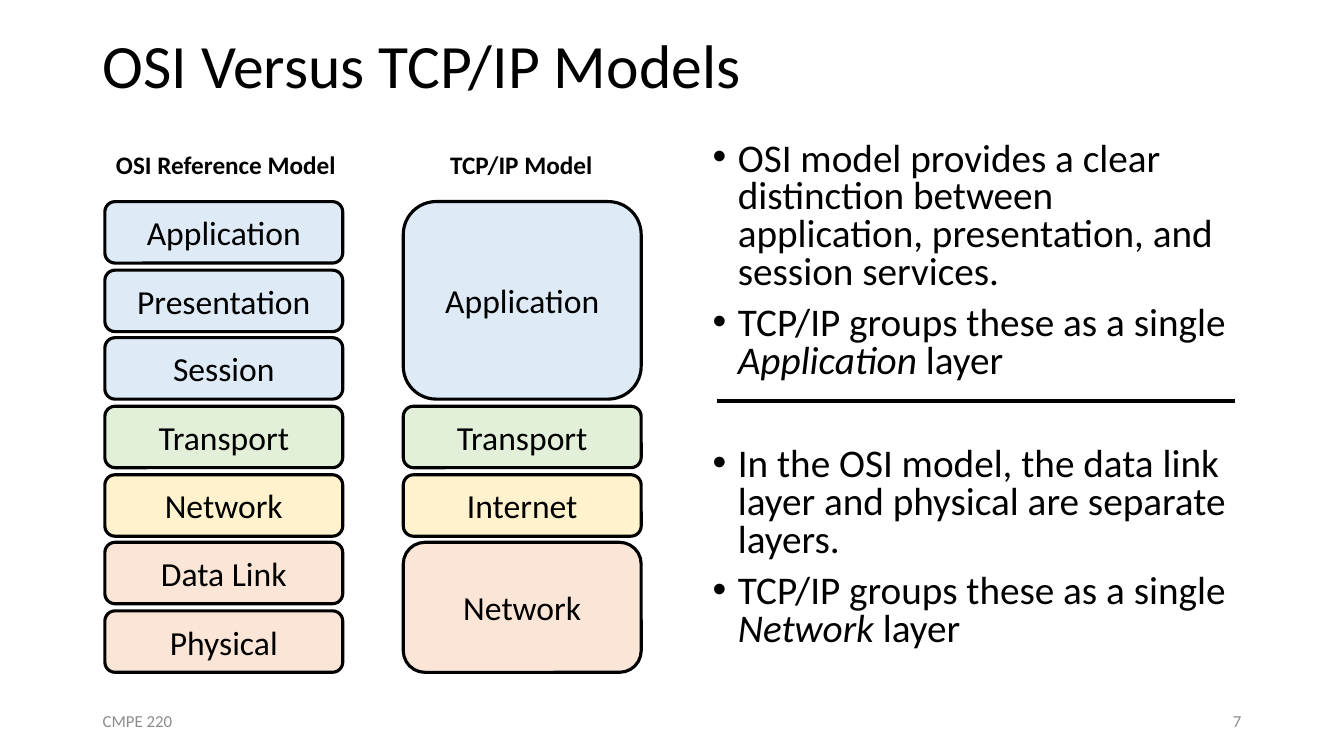
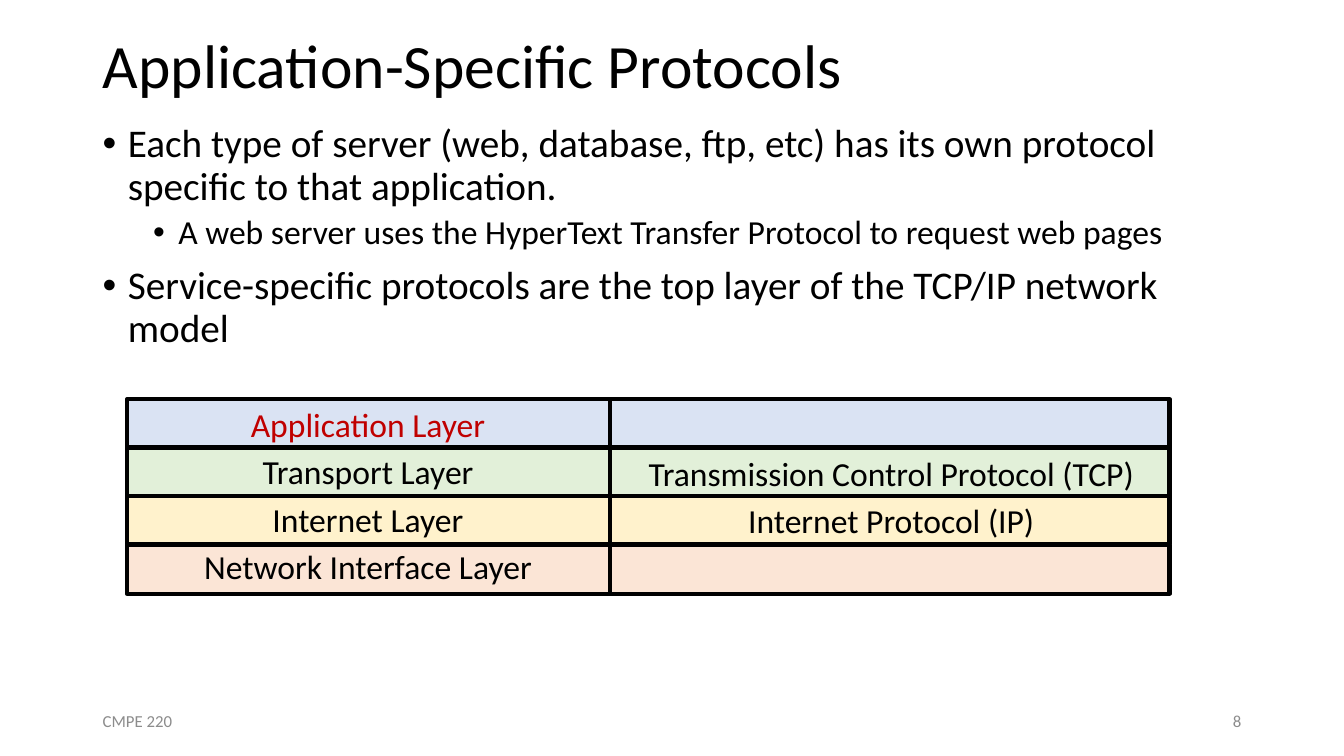
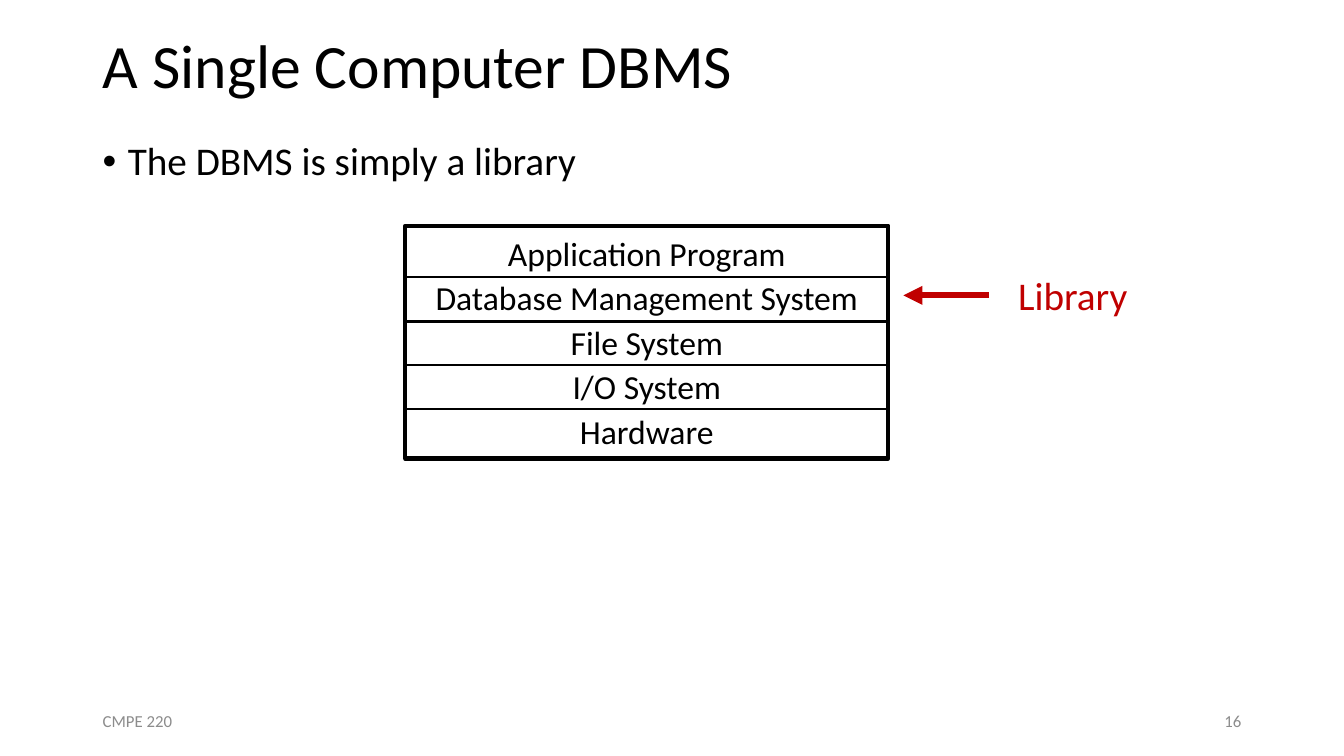
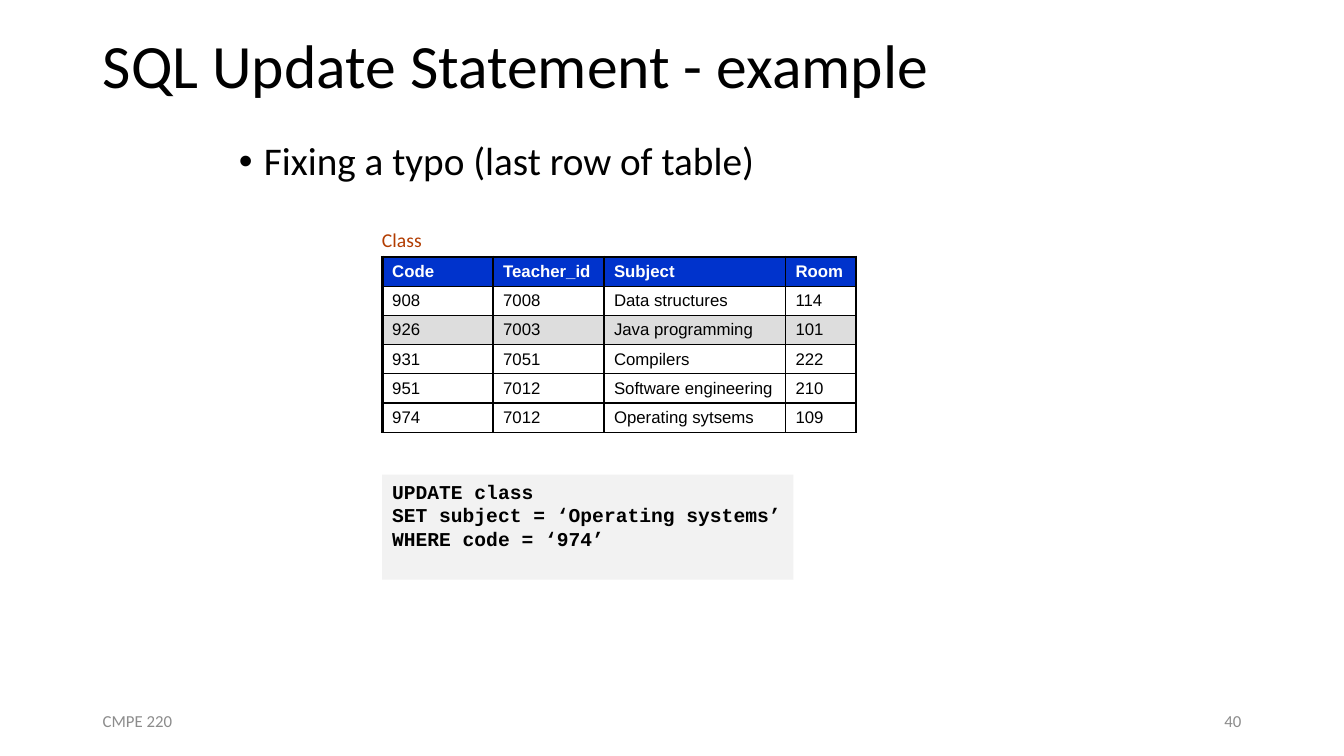
from dataclasses import dataclass
from typing import Optional, Sequence, Union

import lxml.etree
import pptx
import pptx.dml.color
import pptx.enum.shapes
import pptx.enum.text
import pptx.oxml.ns
import pptx.slide
import pptx.table
import pptx.text.text
import pptx.util

ALIGN = pptx.enum.text.PP_ALIGN
ANCHOR = pptx.enum.text.MSO_ANCHOR
SHAPE = pptx.enum.shapes.MSO_SHAPE
EMU_PER_PX = 9144  # 100 px to the inch


@dataclass(frozen=True)
class Theme:
    font: str = "Calibri"
    table_font: str = "Arial"
    code_font: str = "Courier New"
    black: str = "000000"
    white: str = "FFFFFF"
    footer: str = "8C8C8C"
    accent: str = "C00000"
    caption: str = "B23C00"
    blue: str = "DEEBF7"
    blue_row: str = "DAE3F3"
    green: str = "E2F0D9"
    yellow: str = "FFF2CC"
    orange: str = "FBE5D6"
    header: str = "0033CC"
    highlight: str = "DDDDDD"
    code_fill: str = "F2F2F2"
    title_size: int = 44
    body_size: int = 28
    label_size: int = 24
    heading_size: int = 18
    small_size: int = 14
    tiny_size: int = 12


THEME = Theme()


@dataclass(frozen=True)
class Box:
    left: int
    top: int
    width: int
    height: int

    def emu(self) -> tuple[pptx.util.Emu, ...]:
        return tuple(px(n) for n in (self.left, self.top, self.width, self.height))


@dataclass(frozen=True)
class Span:
    text: str
    italic: bool = False
    color: Optional[str] = None


@dataclass(frozen=True)
class Para:
    spans: tuple[Span, ...]


@dataclass(frozen=True)
class Bullet(Para):
    level: int = 0
    before: int = 10


@dataclass(frozen=True)
class Layer:
    text: str
    fill: str
    slots: int = 1


@dataclass(frozen=True)
class Row:
    cells: tuple[str, ...]
    fill: Optional[str] = None
    color: str = THEME.black
    bold: bool = False


@dataclass(frozen=True)
class Borders:
    """Line widths in points."""
    outer: float
    inner: float


def px(length: int) -> pptx.util.Emu:
    return pptx.util.Emu(length * EMU_PER_PX)


def rgb(color: str) -> pptx.dml.color.RGBColor:
    return pptx.dml.color.RGBColor.from_string(color)


def add_xml(parent: lxml.etree._Element, tag: str, **attributes: str) -> lxml.etree._Element:
    return lxml.etree.SubElement(parent, pptx.oxml.ns.qn(tag), attributes)


def write(
    frame: pptx.text.text.TextFrame,
    text: Union[str, Sequence[Para]],
    *,
    size: int = THEME.label_size,
    color: str = THEME.black,
    font: str = THEME.font,
    bold: bool = False,
    align: ALIGN = ALIGN.LEFT,
    anchor: ANCHOR = ANCHOR.TOP,
    spacing: float = 1.0,
    after: int = 0,
) -> None:
    """Fill a frame with lines of text, paragraphs or bullets."""
    frame.word_wrap = True
    frame.vertical_anchor = anchor
    if isinstance(text, str):
        text = [Para((Span(line),)) for line in text.split("\n")]
    for index, item in enumerate(text):
        para = frame.add_paragraph() if index else frame.paragraphs[0]
        para.alignment = align
        para.line_spacing = spacing
        para.space_after = pptx.util.Pt(after)
        span_size = size
        if isinstance(item, Bullet):
            para.level = item.level
            properties = para._p.get_or_add_pPr()
            properties.set("marL", str(px(25 + 50 * item.level)))
            properties.set("indent", str(-px(25)))
            add_xml(properties, "a:buFont", typeface="Arial")
            add_xml(properties, "a:buChar", char="•")
            if index:
                para.space_before = pptx.util.Pt(item.before)
            if item.level:
                span_size = THEME.label_size
        for span in item.spans:
            run = para.add_run()
            run.text = span.text
            run.font.name = font
            run.font.size = pptx.util.Pt(span_size)
            run.font.bold = bold
            run.font.italic = span.italic
            run.font.color.rgb = rgb(span.color or color)


def add_text(page: pptx.slide.Slide, box: Box, text: Union[str, Sequence[Para]], **style) -> None:
    write(page.shapes.add_textbox(*box.emu()).text_frame, text, **style)


def add_bullets(page: pptx.slide.Slide, box: Box, bullets: Sequence[Bullet],
                spacing: float = 0.9) -> None:
    add_text(page, box, bullets, size=THEME.body_size, spacing=spacing)


def add_panel(page: pptx.slide.Slide, kind: SHAPE, box: Box, text: str = "", *,
              fill: Optional[str] = None, line: float = 0, **style) -> None:
    """Draw a shape, with fill, outline and text only where they are given."""
    shape = page.shapes.add_shape(kind, *box.emu())
    shape.shadow.inherit = False
    if fill:
        shape.fill.solid()
        shape.fill.fore_color.rgb = rgb(fill)
    else:
        shape.fill.background()
    if line:
        shape.line.color.rgb = rgb(THEME.black)
        shape.line.width = pptx.util.Pt(line)
    else:
        shape.line.fill.background()
    if text:
        write(shape.text_frame, text, **style)


def add_line(page: pptx.slide.Slide, start: tuple[int, int], end: tuple[int, int], *,
             width: float, color: str = THEME.black, arrow: bool = False) -> None:
    line = page.shapes.add_connector(
        pptx.enum.shapes.MSO_CONNECTOR.STRAIGHT, *(px(n) for n in start + end))
    line.line.color.rgb = rgb(color)
    line.line.width = pptx.util.Pt(width)
    if arrow:
        add_xml(line.line._get_or_add_ln(), "a:tailEnd", type="triangle")
    add_xml(line._element.spPr, "a:effectLst")


def set_borders(cell: pptx.table._Cell, widths: Sequence[float]) -> None:
    """Set the left, right, top and bottom border of a cell."""
    properties = cell._tc.get_or_add_tcPr()
    for side, width in zip("LRTB", widths):
        line = add_xml(properties, f"a:ln{side}", w=str(pptx.util.Pt(width)))
        add_xml(add_xml(line, "a:solidFill"), "a:srgbClr", val=THEME.black)


def add_grid(page: pptx.slide.Slide, left: int, top: int, columns: Sequence[int],
             row_height: int, rows: Sequence[Row], borders: Borders, **style) -> None:
    """Add a table with heavy left, top and right edges."""
    box = Box(left, top, sum(columns), row_height * len(rows))
    table = page.shapes.add_table(len(rows), len(columns), *box.emu()).table
    table.first_row = table.horz_banding = False
    for column, width in zip(table.columns, columns):
        column.width = px(width)
    for r, row in enumerate(rows):
        table.rows[r].height = px(row_height)
        for c, text in enumerate(row.cells):
            cell = table.cell(r, c)
            set_borders(cell, (
                borders.inner if c else borders.outer,
                borders.inner if c < len(columns) - 1 else borders.outer,
                borders.inner if r else borders.outer,
                borders.inner,
            ))
            if row.fill:
                cell.fill.solid()
                cell.fill.fore_color.rgb = rgb(row.fill)
            else:
                cell.fill.background()
            cell.margin_top = cell.margin_bottom = px(4)
            write(cell.text_frame, text, color=row.color, bold=row.bold, **style)
            cell.vertical_anchor = ANCHOR.MIDDLE


def add_page(deck, title: str, number: int) -> pptx.slide.Slide:
    page = deck.slides.add_slide(deck.slide_layouts[5])
    heading = page.shapes.title
    heading.left, heading.top, heading.width, heading.height = Box(92, 0, 1150, 136).emu()
    write(heading.text_frame, title, size=THEME.title_size, anchor=ANCHOR.MIDDLE, spacing=0.9)
    for left, text, align in ((92, "CMPE 220", ALIGN.LEFT), (941, str(number), ALIGN.RIGHT)):
        add_text(page, Box(left, 695, 300, 40), text, size=THEME.tiny_size,
                 color=THEME.footer, align=align, anchor=ANCHOR.MIDDLE)
    return page


def add_layer_stack(page: pptx.slide.Slide, left: int, heading: str, heading_left: int,
                    layers: Sequence[Layer]) -> None:
    """Stack layers on seven equal slots under a heading."""
    top, bottom, width, height, slot_count = 200, 667, 236, 61, 7
    pitch = (bottom - top - height) / (slot_count - 1)
    add_text(page, Box(heading_left, 143, 248, 40), heading,
             size=THEME.heading_size, bold=True, align=ALIGN.CENTER)
    slot = 0
    for layer in layers:
        start = top + round(slot * pitch)
        slot += layer.slots
        end = top + round((slot - 1) * pitch) + height
        add_panel(page, SHAPE.ROUNDED_RECTANGLE, Box(left, start, width, end - start),
                  layer.text, fill=layer.fill, line=2.25,
                  align=ALIGN.CENTER, anchor=ANCHOR.MIDDLE)


def build_models(deck) -> None:
    page = add_page(deck, "OSI Versus TCP/IP Models", 7)
    add_layer_stack(page, 104, "OSI Reference Model", 100, (
        Layer("Application", THEME.blue),
        Layer("Presentation", THEME.blue),
        Layer("Session", THEME.blue),
        Layer("Transport", THEME.green),
        Layer("Network", THEME.yellow),
        Layer("Data Link", THEME.orange),
        Layer("Physical", THEME.orange),
    ))
    add_layer_stack(page, 400, "TCP/IP Model", 393, (
        Layer("Application", THEME.blue, slots=3),
        Layer("Transport", THEME.green),
        Layer("Internet", THEME.yellow),
        Layer("Network", THEME.orange, slots=2),
    ))

    def grouped_as(layer: str) -> Bullet:
        return Bullet((Span("TCP/IP groups these as a single "),
                       Span(layer, italic=True), Span(" layer")))

    add_bullets(page, Box(697, 136, 544, 528), (
        Bullet((Span("OSI model provides a clear distinction between application, "
                     "presentation, and session services."),)),
        grouped_as("Application"),
        Bullet((Span("In the OSI model, the data link layer and physical are separate "
                     "layers."),), before=47),
        grouped_as("Network"),
    ), spacing=0.8)
    add_line(page, (711, 398), (1225, 398), width=3)


def build_protocols(deck) -> None:
    page = add_page(deck, "Application-Specific Protocols", 8)
    add_bullets(page, Box(92, 118, 1150, 247), (
        Bullet((Span("Each type of server (web, database, ftp, etc) has its own protocol "
                     "specific to that application."),)),
        Bullet((Span("A web server uses the HyperText Transfer Protocol to request web "
                     "pages"),), level=1, before=5),
        Bullet((Span("Service-specific protocols are the top layer of the TCP/IP network "
                     "model"),)),
    ))
    top, row_bottom = 396, 589
    fills = (THEME.blue_row, THEME.green, THEME.yellow, THEME.orange)
    pitch = (row_bottom - top) / len(fills)
    for index, fill in enumerate(fills):
        for left, width in ((126, 479), (605, 555)):
            add_panel(page, SHAPE.RECTANGLE,
                      Box(left, top + round(index * pitch), width, round(pitch)),
                      fill=fill, line=3)
    add_text(page, Box(191, top, 348, 193), (
        Para((Span("Application Layer", color=THEME.accent),)),
        Para((Span("Transport Layer"),)),
        Para((Span("Internet Layer"),)),
        Para((Span("Network Interface Layer"),)),
    ), align=ALIGN.CENTER, after=5)
    add_text(page, Box(591, 444, 586, 97),
             "Transmission Control Protocol (TCP)\nInternet Protocol (IP)",
             align=ALIGN.CENTER, after=5)


def build_single_computer(deck) -> None:
    page = add_page(deck, "A Single Computer DBMS", 16)
    add_bullets(page, Box(92, 136, 1150, 81), (Bullet((Span("The DBMS is simply a library"),)),))
    left, right = 402, 881
    add_panel(page, SHAPE.RECTANGLE, Box(left, 224, right - left, 231), line=3)
    add_text(page, Box(420, 226, 443, 229),
             "Application Program\nDatabase Management System\nFile System\nI/O System\nHardware",
             align=ALIGN.CENTER, after=3)
    for divider in range(4):
        height = 275 + round(divider * 43.7)
        add_line(page, (left, height), (right, height), width=1.5)
    add_text(page, Box(1000, 264, 140, 57), "Library", size=THEME.body_size, color=THEME.accent)
    add_line(page, (981, 293), (896, 293), width=4.5, color=THEME.accent, arrow=True)


def build_update(deck) -> None:
    page = add_page(deck, "SQL Update Statement - example", 40)
    add_bullets(page, Box(227, 136, 1014, 528),
                (Bullet((Span("Fixing a typo (last row of table)"),)),))
    add_text(page, Box(369, 221, 80, 34), "Class", size=THEME.small_size, color=THEME.caption)
    add_grid(page, 379, 255, (110, 110, 180, 70), 29, (
        Row(("Code", "Teacher_id", "Subject", "Room"), THEME.header, THEME.white, True),
        Row(("908", "7008", "Data structures", "114")),
        Row(("926", "7003", "Java programming", "101"), THEME.highlight),
        Row(("931", "7051", "Compilers", "222")),
        Row(("951", "7012", "Software engineering", "210")),
        Row(("974", "7012", "Operating sytsems", "109")),
    ), Borders(2.25, 1), size=THEME.tiny_size, font=THEME.table_font)
    add_panel(page, SHAPE.RECTANGLE, Box(379, 471, 408, 104),
              "UPDATE class\nSET subject = ‘Operating systems’\nWHERE code = ‘974’",
              fill=THEME.code_fill, size=THEME.small_size, font=THEME.code_font, bold=True)


def main() -> None:
    deck = pptx.Presentation()
    deck.slide_width, deck.slide_height = px(1333), px(750)
    for build in (build_models, build_protocols, build_single_computer, build_update):
        build(deck)
    deck.save("out.pptx")


if __name__ == "__main__":
    main()
